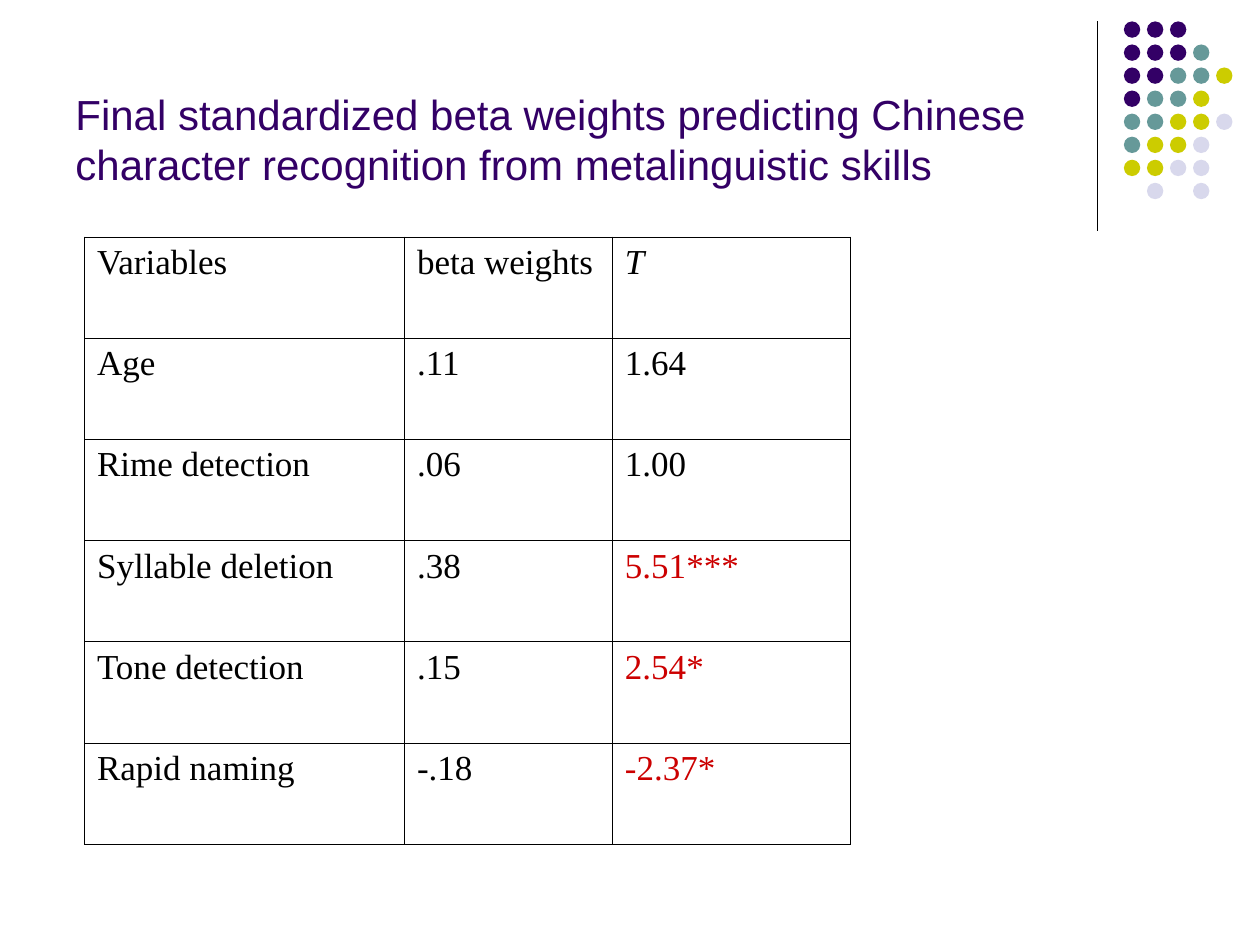
"""Build a slide with a table of beta weights and a dotted corner ornament."""
from lxml.etree import SubElement
from pptx import Presentation
from pptx.dml.color import RGBColor
from pptx.enum.shapes import MSO_CONNECTOR as Link, MSO_SHAPE as Shape
from pptx.enum.text import MSO_ANCHOR as Anchor
from pptx.oxml.ns import qn
from pptx.util import Inches, Pt

BLACK = RGBColor(0x00, 0x00, 0x00)
RED = RGBColor(0xCC, 0x00, 0x00)
PLUM = RGBColor(0x33, 0x00, 0x66)
TEAL = RGBColor(0x66, 0x99, 0x99)
LIME = RGBColor(0xCC, 0xCC, 0x00)
PALE = RGBColor(0xD8, 0xD8, 0xEC)

TITLE = ("Final standardized beta weights predicting Chinese "
         "character recognition from metalinguistic skills")
ROWS = [
    ("Variables", "beta weights", "T"),
    ("Age", ".11", "1.64"),
    ("Rime detection", ".06", "1.00"),
    ("Syllable deletion", ".38", "5.51***"),
    ("Tone detection", ".15", "2.54*"),
    ("Rapid naming", "-.18", "-2.37*"),
]
WIDTHS = (2.54, 1.65, 1.89)
HIGH = 4.82
DOTS = ["PPP", "PPPT", "PPTTL", "PTTL", "TTLLA", "TLLA", "LLAA", " A A"]
HUES = {"P": PLUM, "T": TEAL, "L": LIME, "A": PALE}
DOT, STEP = 0.13, 0.183


def write(frame, text, size=20, font="Times New Roman", color=BLACK, italic=False):
    run = frame.paragraphs[0].add_run()
    run.text = text
    run.font.size = Pt(size)
    run.font.name = font
    run.font.italic = italic
    run.font.color.rgb = color


def edge(cell, side, width):
    line = SubElement(cell._tc.get_or_add_tcPr(), qn("a:" + side), w=str(Pt(width)))
    fill = SubElement(line, qn("a:solidFill"))
    SubElement(fill, qn("a:srgbClr"), val=str(BLACK))


def draw_dots(slide):
    rule = slide.shapes.add_connector(
        Link.STRAIGHT, Inches(8.71), Inches(0.17), Inches(8.71), Inches(1.83))
    rule.line.color.rgb = BLACK
    rule.line.width = Pt(0.75)
    SubElement(rule._element.spPr, qn("a:effectLst"))
    group = slide.shapes.add_group_shape()
    for r, keys in enumerate(DOTS):
        for c, key in enumerate(keys):
            if key in HUES:
                dot = group.shapes.add_shape(
                    Shape.OVAL, Inches(8.92 + c * STEP), Inches(0.17 + r * STEP),
                    Inches(DOT), Inches(DOT))
                dot.shadow.inherit = False
                dot.fill.solid()
                dot.fill.fore_color.rgb = HUES[key]
                dot.line.fill.background()


def draw_title(slide):
    box = slide.shapes.add_textbox(
        Inches(0.5), Inches(0.13), Inches(8.25), Inches(1.42))
    frame = box.text_frame
    frame.word_wrap = True
    frame.vertical_anchor = Anchor.BOTTOM
    write(frame, TITLE, size=24, font="Arial", color=PLUM)


def draw_table(slide):
    last = len(ROWS) - 1
    table = slide.shapes.add_table(
        len(ROWS), len(WIDTHS), Inches(0.67), Inches(1.88),
        Inches(sum(WIDTHS)), Inches(HIGH)).table
    table.first_row = table.horz_banding = False
    for col, width in zip(table.columns, WIDTHS):
        col.width = Inches(width)
    for r, row in enumerate(ROWS):
        for c, text in enumerate(row):
            cell = table.cell(r, c)
            color = RED if text.endswith("*") else BLACK
            write(cell.text_frame, text, color=color, italic=text == "T")
            edge(cell, "lnL", 0.34)
            edge(cell, "lnR", 0.34)
            edge(cell, "lnT", 0.45 if r < 2 else 0.34)
            edge(cell, "lnB", 0.45 if r in (0, last) else 0.34)
            cell.fill.background()


def main():
    deck = Presentation()
    deck.slide_width, deck.slide_height = Inches(10), Inches(7.5)
    slide = deck.slides.add_slide(deck.slide_layouts[6])
    draw_dots(slide)
    draw_title(slide)
    draw_table(slide)
    deck.save("out.pptx")


if __name__ == "__main__":
    main()
